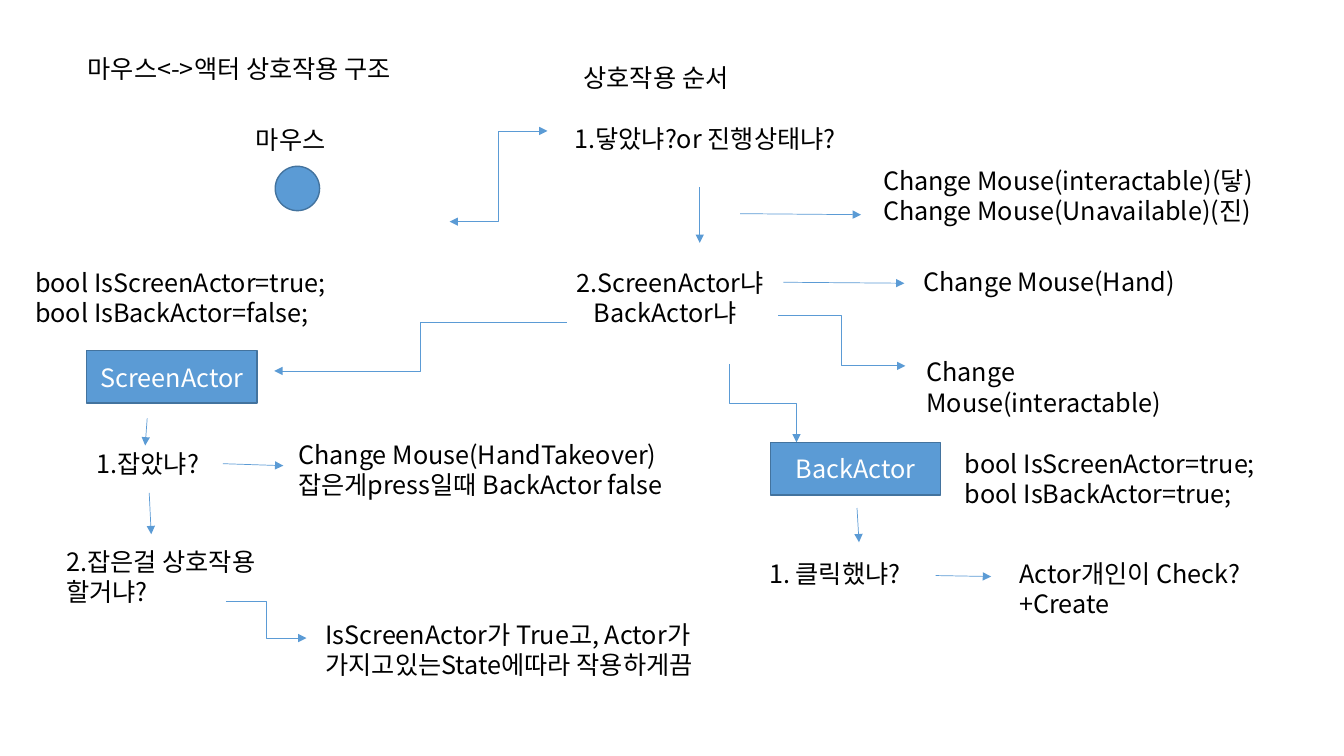
from pptx import Presentation
from pptx.dml.color import RGBColor
from pptx.enum.shapes import MSO_CONNECTOR as Connector, MSO_SHAPE as Shape
from pptx.enum.text import MSO_ANCHOR as Anchor, MSO_AUTO_SIZE as AutoSize, PP_ALIGN as Align
from pptx.oxml.ns import qn
from pptx.oxml.xmlchemy import OxmlElement
from pptx.util import Inches, Pt

COLORS = {"text": "000000", "fill": "5B9BD5", "outline": "43739E", "label": "FFFFFF"}
FONT = "Noto Sans CJK KR"


def color(name):
    """Return the named colour as an RGB value."""
    return RGBColor.from_string(COLORS[name])


def write_text(shape, text, color_name="text", align=Align.LEFT):
    """Fill a shape with text, one paragraph a line, and format its runs."""
    frame = shape.text_frame
    frame.text = text
    frame.word_wrap = True
    for paragraph in frame.paragraphs:
        paragraph.alignment = align
        for run in paragraph.runs:
            run.font.size = Pt(18)
            run.font.name = FONT
            run.font.color.rgb = color(color_name)
            east_asian = OxmlElement("a:ea")
            east_asian.set("typeface", FONT)
            run.font._element.append(east_asian)


def add_text(slide, left, top, width, text):
    """Add a text box whose height follows its number of lines."""
    height = 0.71 if "\n" in text else 0.4
    box = slide.shapes.add_textbox(Inches(left), Inches(top), Inches(width), Inches(height))
    write_text(box, text)
    box.text_frame.auto_size = AutoSize.SHAPE_TO_FIT_TEXT
    return box


def add_figure(slide, kind, left, top, width, height, label=""):
    """Add a filled preset shape with an optional centred label."""
    figure = slide.shapes.add_shape(kind, Inches(left), Inches(top), Inches(width), Inches(height))
    figure.shadow.inherit = False
    figure.fill.solid()
    figure.fill.fore_color.rgb = color("fill")
    figure.line.color.rgb = color("outline")
    figure.line.width = Pt(1)
    if label:
        write_text(figure, label, "label", Align.CENTER)
        figure.text_frame.vertical_anchor = Anchor.MIDDLE


def add_actor(slide, left, top, name):
    """Add the box of one actor."""
    add_figure(slide, Shape.RECTANGLE, left, top, 1.69, 0.52, name)


def add_arrow(slide, left, top, start, end, kind=Connector.STRAIGHT, ends=("tailEnd",)):
    """Add an arrow between two points given relative to a region's corner."""
    points = [Inches(origin + offset) for point in (start, end)
              for origin, offset in zip((left, top), point)]
    arrow = slide.shapes.add_connector(kind, *points)
    arrow.line.color.rgb = color("fill")
    arrow.line.width = Pt(0.5)
    for name in ends:
        arrowhead = OxmlElement(f"a:{name}")
        arrowhead.set("type", "triangle")
        arrow.line._ln.append(arrowhead)
    arrow._element.spPr.append(OxmlElement("a:effectLst"))
    return arrow


def add_drop_arrow(slide, left, top, start, end):
    """Add an elbow arrow that leaves and arrives vertically."""
    middle_x, middle_y = ((a + b) / 2 for a, b in zip(start, end))
    half_width, half_height = (end[1] - start[1]) / 2, (end[0] - start[0]) / 2
    arrow = add_arrow(slide, left, top,
                      (middle_x + half_width, middle_y - half_height),
                      (middle_x - half_width, middle_y + half_height), Connector.ELBOW)
    arrow._element.spPr.find(qn("a:xfrm")).set("rot", str(270 * 60000))


def add_mouse_region(slide, left, top):
    """Place the slide title and the mouse."""
    title = slide.shapes.title
    title.left, title.top = Inches(left + 0.52), Inches(top)
    title.width, title.height = Inches(3.57), Inches(0.4)
    write_text(title, "마우스<->액터 상호작용 구조")
    title.text_frame.auto_size = AutoSize.NONE
    title.text_frame.vertical_anchor = Anchor.TOP
    add_figure(slide, Shape.OVAL, left + 2.48, top + 1.17, 0.44, 0.44)
    add_text(slide, left + 2.19, top + 0.7, 1.03, "마우스")


def add_order_region(slide, left, top):
    """Place the order of interaction with its questions and results."""
    add_text(slide, left + 0.09, top, 2.13, "상호작용 순서")
    add_text(slide, left, top + 0.6, 3, "1.닿았냐?or 진행상태냐?")
    actor_question = add_text(slide, left + 0.02, top + 2.03, 3, "2.ScreenActor냐\nBackActor냐")
    second_line = actor_question.text_frame.paragraphs[1]
    second_line._p.get_or_add_pPr().set("marL", str(Inches(0.17)))
    add_text(slide, left + 3.06, top + 1.02, 4.15,
             "Change Mouse(interactable)(닿)\nChange Mouse(Unavailable)(진)")
    add_text(slide, left + 3.46, top + 2.02, 3.41, "Change Mouse(Hand)")
    add_text(slide, left + 3.49, top + 2.92, 3.41, "Change Mouse(interactable)")
    for start, end in [((1.34, 1.29), (1.34, 1.84)), ((1.74, 1.55), (2.94, 1.56)),
                       ((2.17, 2.23), (3.37, 2.24))]:
        add_arrow(slide, left, top, start, end)
    add_arrow(slide, left, top, (-1.14, 1.63), (-0.17, 0.73), Connector.ELBOW,
              ("headEnd", "tailEnd"))
    add_arrow(slide, left, top, (2.12, 2.56), (3.38, 3.06), Connector.ELBOW)
    add_arrow(slide, left, top, (0.02, 2.63), (-2.88, 3.11), Connector.ELBOW)
    add_drop_arrow(slide, left, top, (1.63, 3.04), (2.3, 3.82))


def add_screen_actor_region(slide, left, top):
    """Place the screen actor with its flags, questions and results."""
    add_text(slide, left, top, 3.68, "bool IsScreenActor=true;\nbool IsBackActor=false;")
    add_actor(slide, left + 0.61, top + 0.88, "ScreenActor")
    add_text(slide, left + 0.61, top + 1.8, 1.31, "1.잡았냐?")
    add_text(slide, left + 2.61, top + 1.71, 3.96,
             "Change Mouse(HandTakeover)\n잡은게press일때 BackActor false")
    add_text(slide, left + 0.31, top + 2.77, 2.28, "2.잡은걸 상호작용 할거냐?")
    add_text(slide, left + 2.88, top + 3.49, 4.12,
             "IsScreenActor가 True고, Actor가 가지고있는State에따라 작용하게끔")
    for start, end in [((1.21, 1.55), (1.19, 1.82)), ((1.96, 2), (2.56, 2.02)),
                       ((1.23, 2.29), (1.25, 2.7))]:
        add_arrow(slide, left, top, start, end)
    add_arrow(slide, left, top, (1.99, 3.37), (2.79, 3.73), Connector.ELBOW)


def add_back_actor_region(slide, left, top):
    """Place the back actor with its flags, question and result."""
    add_actor(slide, left + 0.11, top, "BackActor")
    add_text(slide, left + 1.94, top + 0.01, 3.68,
             "bool IsScreenActor=true;\nbool IsBackActor=true;")
    add_text(slide, left, top + 1.1, 1.92, "1. 클릭했냐?")
    add_text(slide, left + 2.48, top + 1.1, 2.51, "Actor개인이 Check?\n+Create")
    add_arrow(slide, left, top, (0.97, 0.65), (0.99, 0.99))
    add_arrow(slide, left, top, (1.75, 1.32), (2.3, 1.33))


def main():
    """Build the slide and save it."""
    presentation = Presentation()
    presentation.slide_width, presentation.slide_height = Inches(13.33), Inches(7.5)
    slide = presentation.slides.add_slide(presentation.slide_layouts[5])
    add_mouse_region(slide, 0.25, 0.48)
    add_order_region(slide, 5.6, 0.57)
    add_screen_actor_region(slide, 0.25, 2.6)
    add_back_actor_region(slide, 7.53, 4.39)
    presentation.save("out.pptx")


if __name__ == "__main__":
    main()
